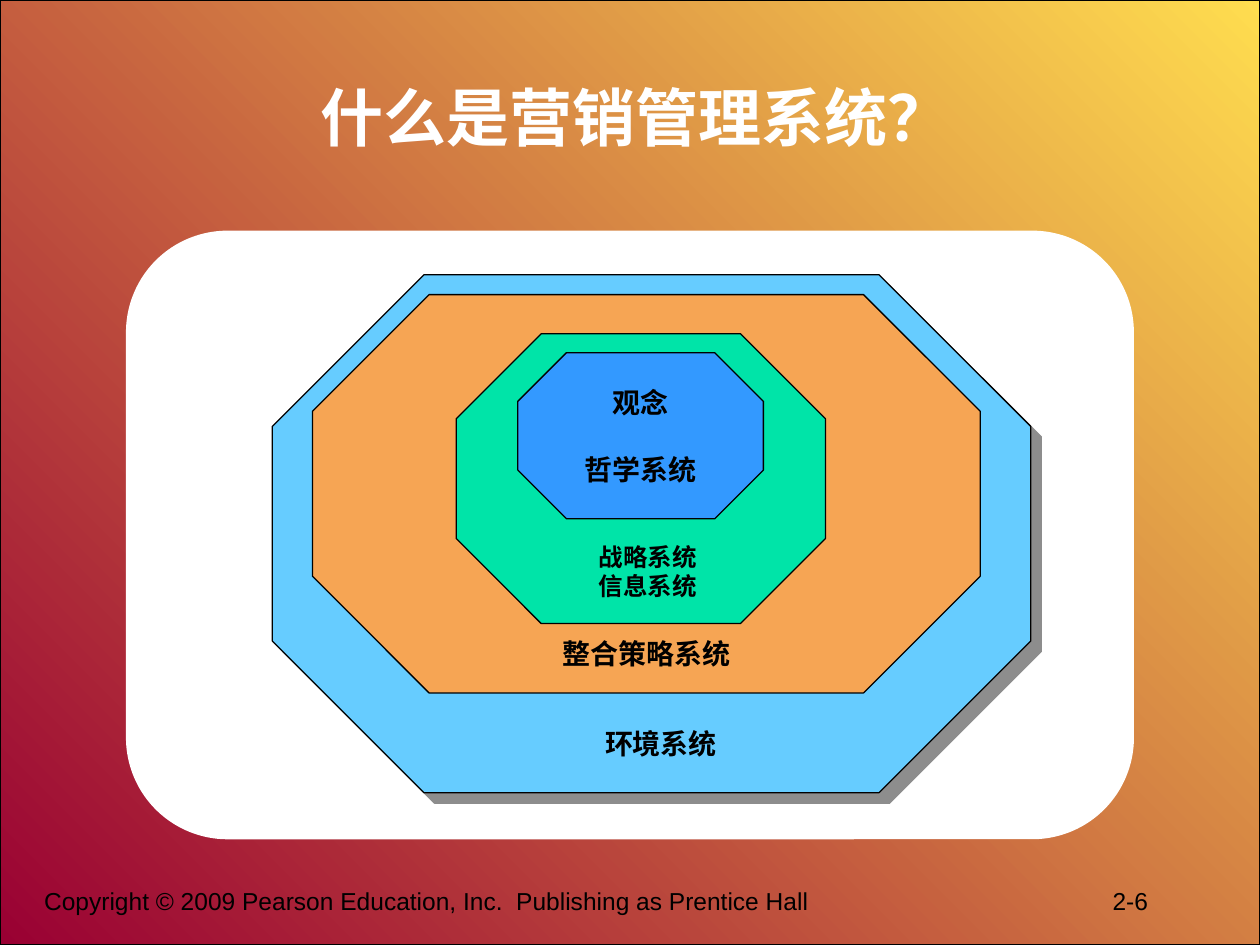
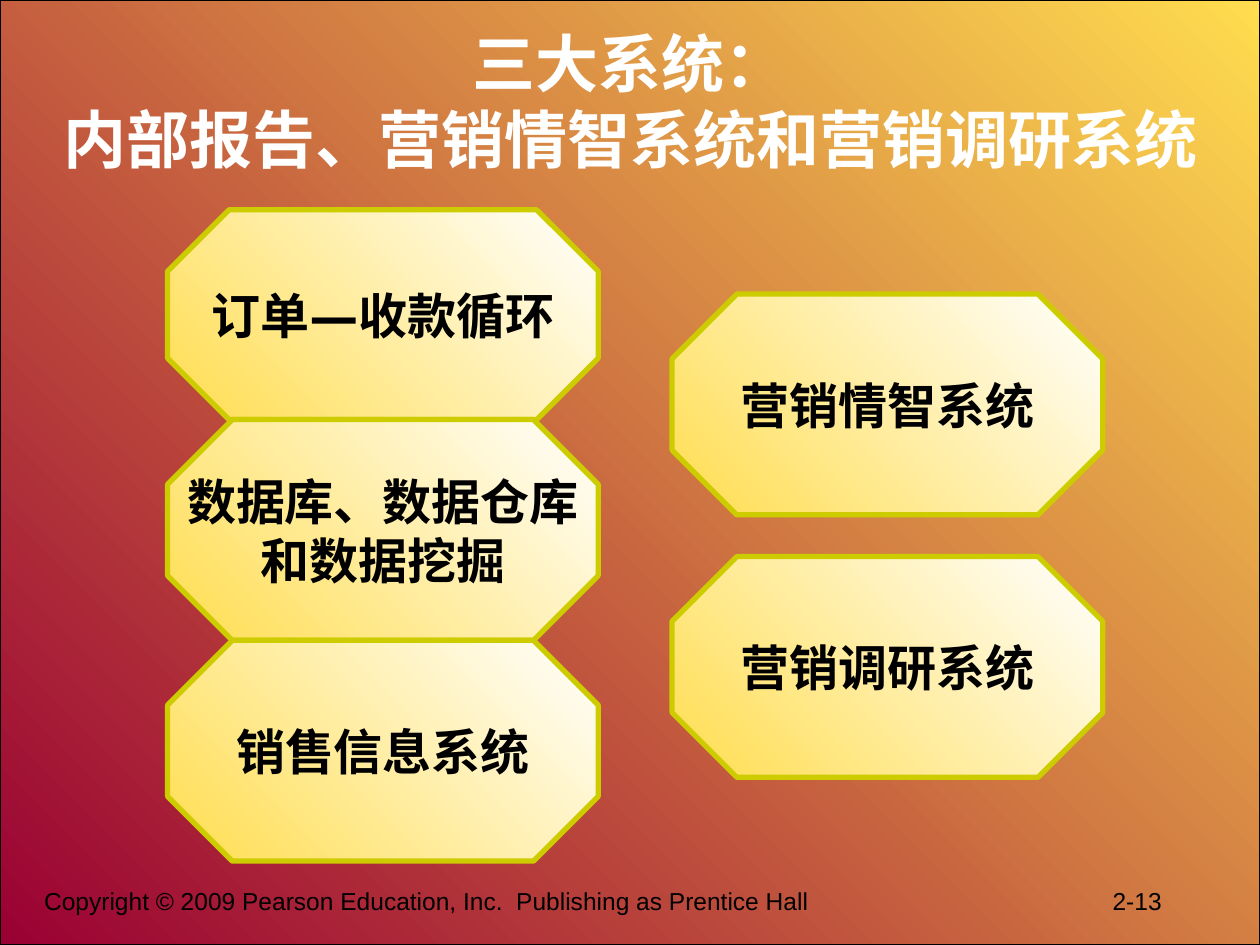
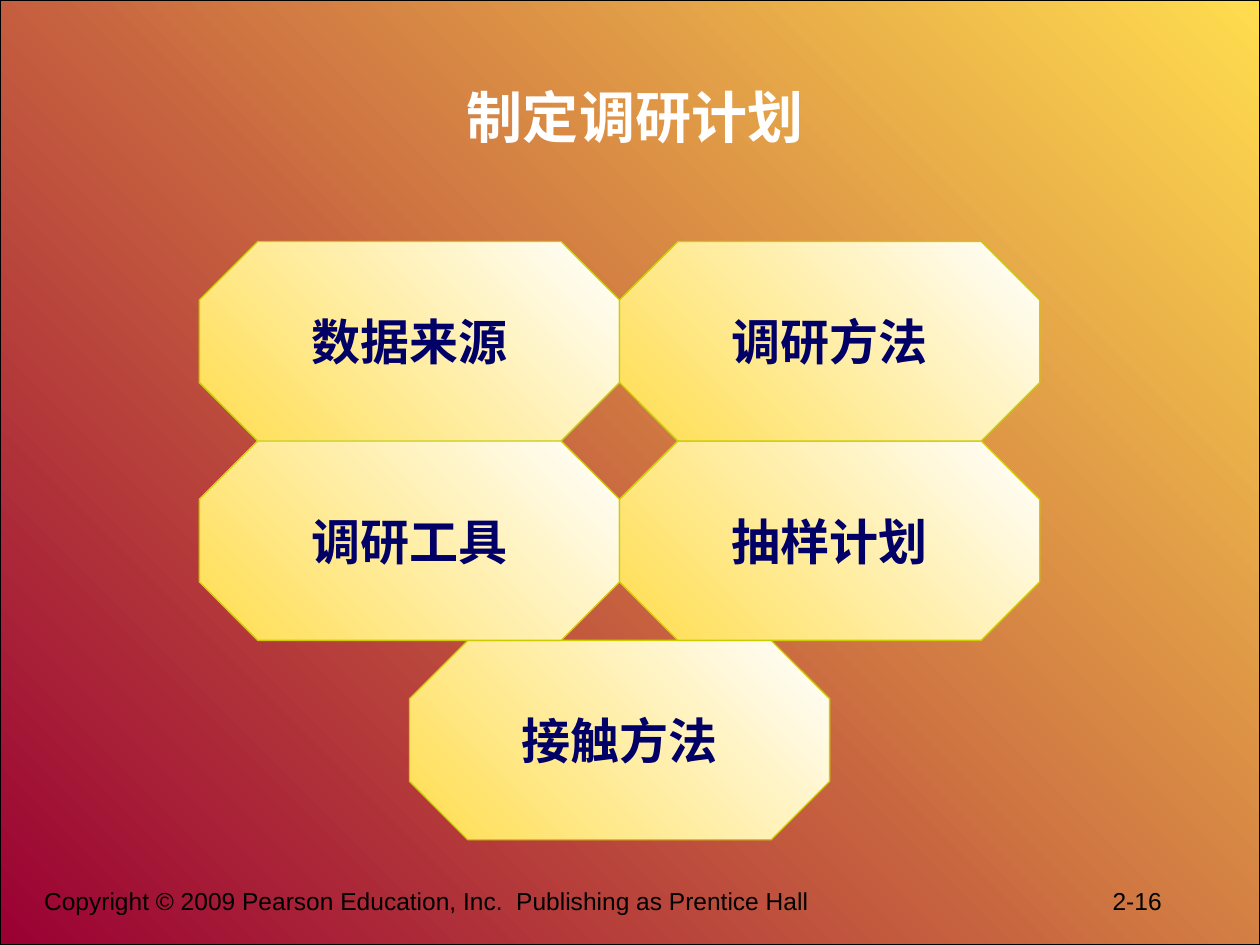
"""Build three slides on marketing management systems and research planning."""
from lxml.etree import SubElement
from pptx import Presentation
from pptx.dml.color import RGBColor
from pptx.enum.lang import MSO_LANGUAGE_ID
from pptx.enum.shapes import MSO_SHAPE
from pptx.enum.text import MSO_ANCHOR, MSO_AUTO_SIZE, PP_ALIGN
from pptx.oxml.ns import qn
from pptx.util import Cm, Pt

BLACK, WHITE, NAVY = "000000", "FFFFFF", "000066"
YELLOW, CRIMSON, OLIVE = "FFDD4F", "990033", "CCCC00"
CREAM_TO_YELLOW = (WHITE, YELLOW)
COPYRIGHT = "Copyright © 2009 Pearson Education, Inc.  Publishing as Prentice Hall"


def write_text(frame, *lines, size=16, font="Arial", color=BLACK, bold=True,
               align=PP_ALIGN.CENTER, anchor=MSO_ANCHOR.TOP, wrap=True, gap=0):
    """Fill a text frame with one paragraph per line, all in one format."""
    frame.auto_size = MSO_AUTO_SIZE.NONE
    frame.word_wrap = wrap
    frame.vertical_anchor = anchor
    for index, line in enumerate(lines):
        paragraph = frame.add_paragraph() if index else frame.paragraphs[0]
        paragraph.text = line
        paragraph.alignment = align
        if index and gap:
            paragraph.space_before = Pt(gap)
        for run in paragraph.runs:
            run.font.size = Pt(size)
            run.font.bold = bold
            run.font.name = font
            run.font.language_id = MSO_LANGUAGE_ID.SIMPLIFIED_CHINESE
            run.font.color.rgb = RGBColor.from_string(color)
            east_asian = SubElement(run.font._element, qn("a:ea"))
            east_asian.set("typeface", "DejaVu Sans")


def add_panel(slide, preset, box, fill, line=None, width=0.75, adjust=None):
    """Add a preset shape; a pair of fill colours runs from top right to bottom left."""
    panel = slide.shapes.add_shape(preset, *map(Cm, box))
    panel.shadow.inherit = False
    if adjust:
        panel.adjustments[0] = adjust
    if isinstance(fill, tuple):
        panel.fill.gradient()
        panel.fill.gradient_angle = 225
        for stop, color in zip(panel.fill.gradient_stops, fill):
            stop.color.rgb = RGBColor.from_string(color)
    else:
        panel.fill.solid()
        panel.fill.fore_color.rgb = RGBColor.from_string(fill)
    if line:
        panel.line.color.rgb = RGBColor.from_string(line)
        panel.line.width = Pt(width)
    else:
        panel.line.fill.background()
    return panel


prs = Presentation()
prs.slide_width, prs.slide_height = Cm(25.4), Cm(19.05)
layout = prs.slide_layouts[5]

TITLE_BOX = (2.11, 0.76, 21.39, 3.18)
slides = []
for title, title_box, title_size, number in (
    ("什么是营销管理系统？", TITLE_BOX, 36, "2-6"),
    ("三大系统：\n内部报告、营销情智系统和营销调研系统", (0, 0.43, 25.4, 3.18), 36, "2-13"),
    ("制定调研计划", TITLE_BOX, 32, "2-16"),
):
    slide = prs.slides.add_slide(layout)
    slides.append(slide)
    heading = slide.shapes.title
    heading.left, heading.top, heading.width, heading.height = map(Cm, title_box)
    write_text(heading.text_frame, title, size=title_size, font="Noto Sans CJK SC",
               color=WHITE, anchor=MSO_ANCHOR.MIDDLE)

    footer = slide.shapes.add_textbox(Cm(0.64), Cm(17.73), Cm(23.7), Cm(1.32)).text_frame
    tabs = SubElement(footer.paragraphs[0]._p.get_or_add_pPr(), qn("a:tabLst"))
    SubElement(tabs, qn("a:tab"), pos=str(Cm(21.54)), algn="l")
    write_text(footer, f"{COPYRIGHT}\t{number}", size=14, bold=False, align=PP_ALIGN.LEFT)

systems, three_systems, research_plan = slides

backdrop = add_panel(systems, MSO_SHAPE.RECTANGLE, (0, 0, 25.4, 19.05),
                     (YELLOW, CRIMSON), BLACK)
backdrop.element.nvSpPr.cNvPr.set("id", "20")
layout.shapes.element.insert(2, backdrop.element)

add_panel(systems, MSO_SHAPE.ROUNDED_RECTANGLE, (2.54, 4.65, 20.32, 12.27), WHITE, adjust=0.167)
rings = [
    add_panel(systems, MSO_SHAPE.OCTAGON, box, color, BLACK)
    for box, color in (
        ((5.49, 5.54, 15.29, 10.44), "66CCFF"),
        ((6.3, 5.94, 13.46, 8.03), "F6A554"),
        ((9.2, 6.73, 7.44, 5.84), "00E4A8"),
        ((10.44, 7.11, 4.95, 3.35), "3399FF"),
    )
]
environment, core = rings[0], rings[-1]
effects = environment.element.spPr.find(qn("a:effectLst"))
shadow = SubElement(effects, qn("a:outerShdw"), blurRad="0", dist=str(Pt(8.5)),
                    dir="2700000", algn="ctr", rotWithShape="0")
shade = SubElement(shadow, qn("a:srgbClr"), val="1C1C1C")
SubElement(shade, qn("a:alpha"), val="50000")

write_text(core.text_frame, "观念", "哲学系统", font="DejaVu Sans",
           anchor=MSO_ANCHOR.MIDDLE, gap=19)
for box, lines, size, font in (
    ((8.69, 12.7, 8.69, 1.07), ["整合策略系统"], 16, "Arial"),
    ((9.63, 14.53, 7.39, 1.17), ["环境系统"], 16, "Arial"),
    ((9.96, 10.8, 6.2, 1.91), ["战略系统", "信息系统"], 14, "DejaVu Sans"),
):
    label = systems.shapes.add_textbox(*map(Cm, box))
    write_text(label.text_frame, *lines, size=size, font=font)

LEFT, RIGHT, TILE_W, TILE_H = 3.38, 13.55, 8.68, 4.45
for left, top, height, lines in (
    (LEFT, 4.23, 4.23, ["订单—收款循环"]),
    (LEFT, 8.46, TILE_H, ["数据库、数据仓库", "和数据挖掘"]),
    (RIGHT, 5.93, TILE_H, ["营销情智系统"]),
    (LEFT, 12.91, TILE_H, ["销售信息系统"]),
    (RIGHT, 11.22, TILE_H, ["营销调研系统"]),
):
    tile = add_panel(three_systems, MSO_SHAPE.OCTAGON, (left, top, TILE_W, height),
                     CREAM_TO_YELLOW, OLIVE, 3)
    write_text(tile.text_frame, *lines, size=28, anchor=MSO_ANCHOR.MIDDLE, wrap=False)

STEP_W, STEP_H = 8.47, 4.02
for column, row, step in (
    (0, 0, "数据来源"),
    (0.5, 2, "接触方法"),
    (0, 1, "调研工具"),
    (1, 1, "抽样计划"),
    (1, 0, "调研方法"),
):
    box = (4.02 + column * STEP_W, 4.87 + row * STEP_H, STEP_W, STEP_H)
    tile = add_panel(research_plan, MSO_SHAPE.OCTAGON, box, CREAM_TO_YELLOW, OLIVE)
    write_text(tile.text_frame, step, size=28, color=NAVY,
               anchor=MSO_ANCHOR.MIDDLE, wrap=False)

prs.save("out.pptx")
